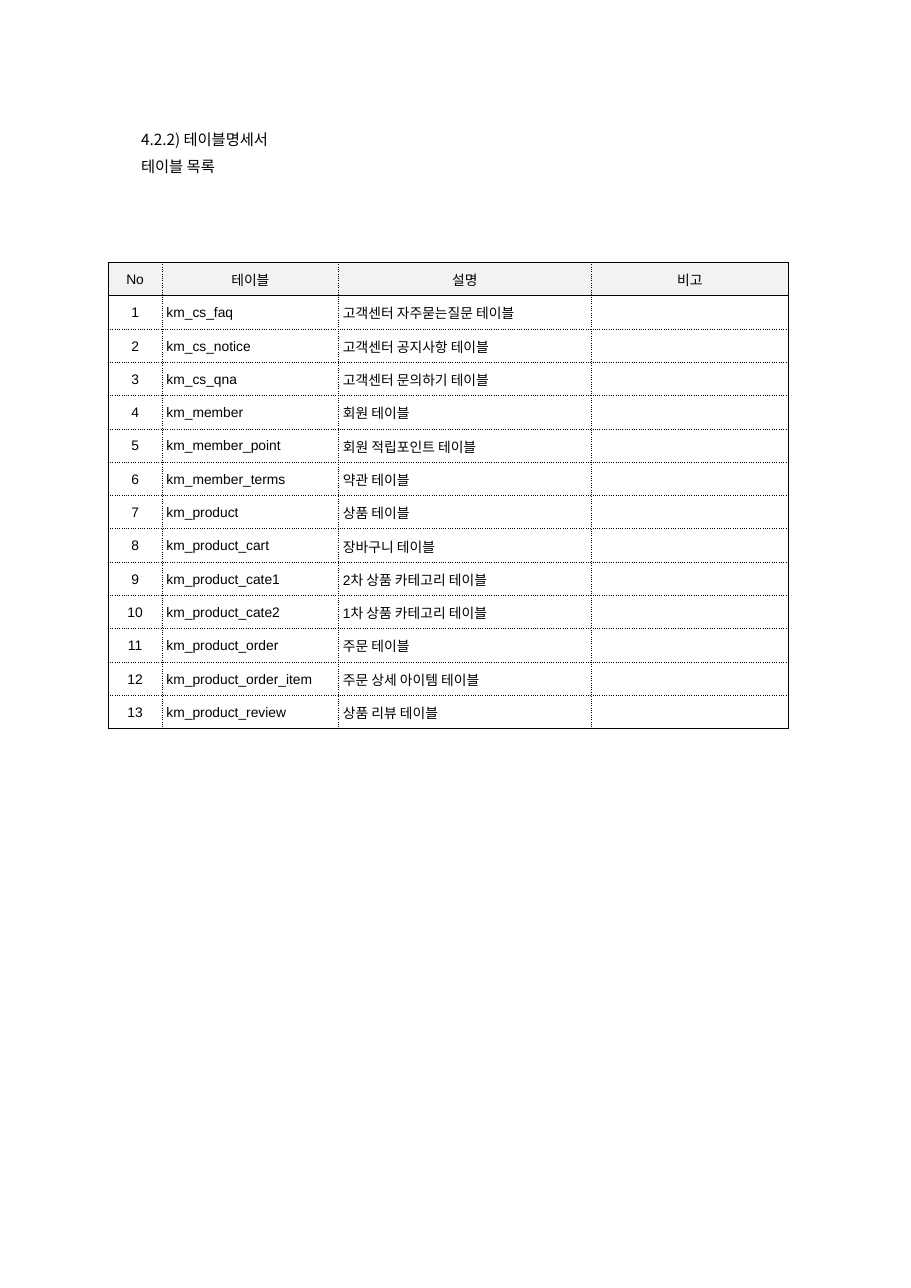
from typing import NamedTuple

from lxml.etree import SubElement
from pptx import Presentation
from pptx.dml.color import RGBColor
from pptx.enum.text import MSO_ANCHOR, MSO_AUTO_SIZE, PP_ALIGN
from pptx.oxml.ns import qn
from pptx.util import Inches, Pt

BLACK = RGBColor(0x00, 0x00, 0x00)
HEADER_GRAY = RGBColor(0xF2, 0xF2, 0xF2)
KOREAN = "Noto Sans CJK KR"
LATIN = "Arial"

TABLE_LEFT, TABLE_TOP, TABLE_HEIGHT = 0.98, 2.38, 4.23
COLUMN_WIDTHS = (0.49, 1.6, 2.29, 1.79)
HEADERS = ("No", "테이블", "설명", "비고")


class Heading(NamedTuple):
    text: str
    top: float
    width: float


class TableEntry(NamedTuple):
    name: str
    description: str


TITLE = Heading("4.2.2) 테이블명세서", 1.19, 1.4)
SUBTITLE = Heading("테이블 목록", 1.43, 0.88)

ENTRIES = (
    TableEntry("km_cs_faq", "고객센터 자주묻는질문 테이블"),
    TableEntry("km_cs_notice", "고객센터 공지사항 테이블"),
    TableEntry("km_cs_qna", "고객센터 문의하기 테이블"),
    TableEntry("km_member", "회원 테이블"),
    TableEntry("km_member_point", "회원 적립포인트 테이블"),
    TableEntry("km_member_terms", "약관 테이블"),
    TableEntry("km_product", "상품 테이블"),
    TableEntry("km_product_cart", "장바구니 테이블"),
    TableEntry("km_product_cate1", "2차 상품 카테고리 테이블"),
    TableEntry("km_product_cate2", "1차 상품 카테고리 테이블"),
    TableEntry("km_product_order", "주문 테이블"),
    TableEntry("km_product_order_item", "주문 상세 아이템 테이블"),
    TableEntry("km_product_review", "상품 리뷰 테이블"),
)


def add_run(p, text: str, size: float, font: str) -> None:
    r = p.add_run()
    r.text = text
    r.font.size = Pt(size)
    r.font.name = font
    r.font.color.rgb = BLACK
    SubElement(r.font._element, qn("a:ea"), typeface=KOREAN)


def write_heading(sp, heading: Heading) -> None:
    sp.left, sp.top = Inches(1.28), Inches(heading.top)
    sp.width, sp.height = Inches(heading.width), Inches(0.2)
    tf = sp.text_frame
    tf.margin_left = tf.margin_top = tf.margin_right = tf.margin_bottom = 0
    tf.word_wrap = True
    tf.auto_size = MSO_AUTO_SIZE.SHAPE_TO_FIT_TEXT
    tf.vertical_anchor = MSO_ANCHOR.TOP
    p = tf.paragraphs[0]
    p.alignment = PP_ALIGN.LEFT
    p.line_spacing = Pt(11.4)
    add_run(p, heading.text, 10, KOREAN)


def set_borders(cell, solid_sides: str) -> None:
    """Draw the sides named in solid_sides (from LRTB) solid, the others dotted."""
    tc_pr = cell._tc.get_or_add_tcPr()
    for side in "LRTB":
        ln = SubElement(tc_pr, qn(f"a:ln{side}"), w=str(Pt(0.5)))
        fill = SubElement(ln, qn("a:solidFill"))
        SubElement(fill, qn("a:srgbClr"), val=str(BLACK))
        dash = "solid" if side in solid_sides else "dot"
        SubElement(ln, qn("a:prstDash"), val=dash)


def write_cell(cell, text: str, is_header: bool, centered: bool) -> None:
    cell.margin_left = cell.margin_right = Inches(0.04)
    cell.margin_top, cell.margin_bottom = Inches(0.01), 0
    cell.vertical_anchor = MSO_ANCHOR.MIDDLE
    if is_header:
        cell.fill.solid()
        cell.fill.fore_color.rgb = HEADER_GRAY
    else:
        cell.fill.background()
    p = cell.text_frame.paragraphs[0]
    p.alignment = PP_ALIGN.CENTER if centered else PP_ALIGN.LEFT
    if text:
        add_run(p, text, 9, LATIN)
    else:
        SubElement(p._p, qn("a:endParaRPr"), sz="900")


def add_table_list(s) -> None:
    rows = [HEADERS]
    rows += [(str(no), e.name, e.description, "") for no, e in enumerate(ENTRIES, 1)]
    last_row, last_col = len(rows) - 1, len(HEADERS) - 1
    table = s.shapes.add_table(
        len(rows), len(HEADERS), Inches(TABLE_LEFT), Inches(TABLE_TOP),
        Inches(sum(COLUMN_WIDTHS)), Inches(TABLE_HEIGHT)).table
    table.first_row = table.horz_banding = False
    for column, width in zip(table.columns, COLUMN_WIDTHS):
        column.width = Inches(width)
    for i, texts in enumerate(rows):
        table.rows[i].height = Inches(TABLE_HEIGHT / len(rows))
        for j, text in enumerate(texts):
            solid = "L" * (j == 0) + "R" * (j == last_col)
            solid += "T" * (i <= 1) + "B" * (i in (0, last_row))
            cell = table.cell(i, j)
            set_borders(cell, solid)
            write_cell(cell, text, i == 0, i == 0 or j == 0)


def main() -> None:
    prs = Presentation()
    prs.slide_width, prs.slide_height = Inches(8.26), Inches(11.68)
    s = prs.slides.add_slide(prs.slide_layouts[5])
    write_heading(s.shapes.title, TITLE)
    write_heading(s.shapes.add_textbox(0, 0, 0, 0), SUBTITLE)
    add_table_list(s)
    prs.save("out.pptx")


if __name__ == "__main__":
    main()
